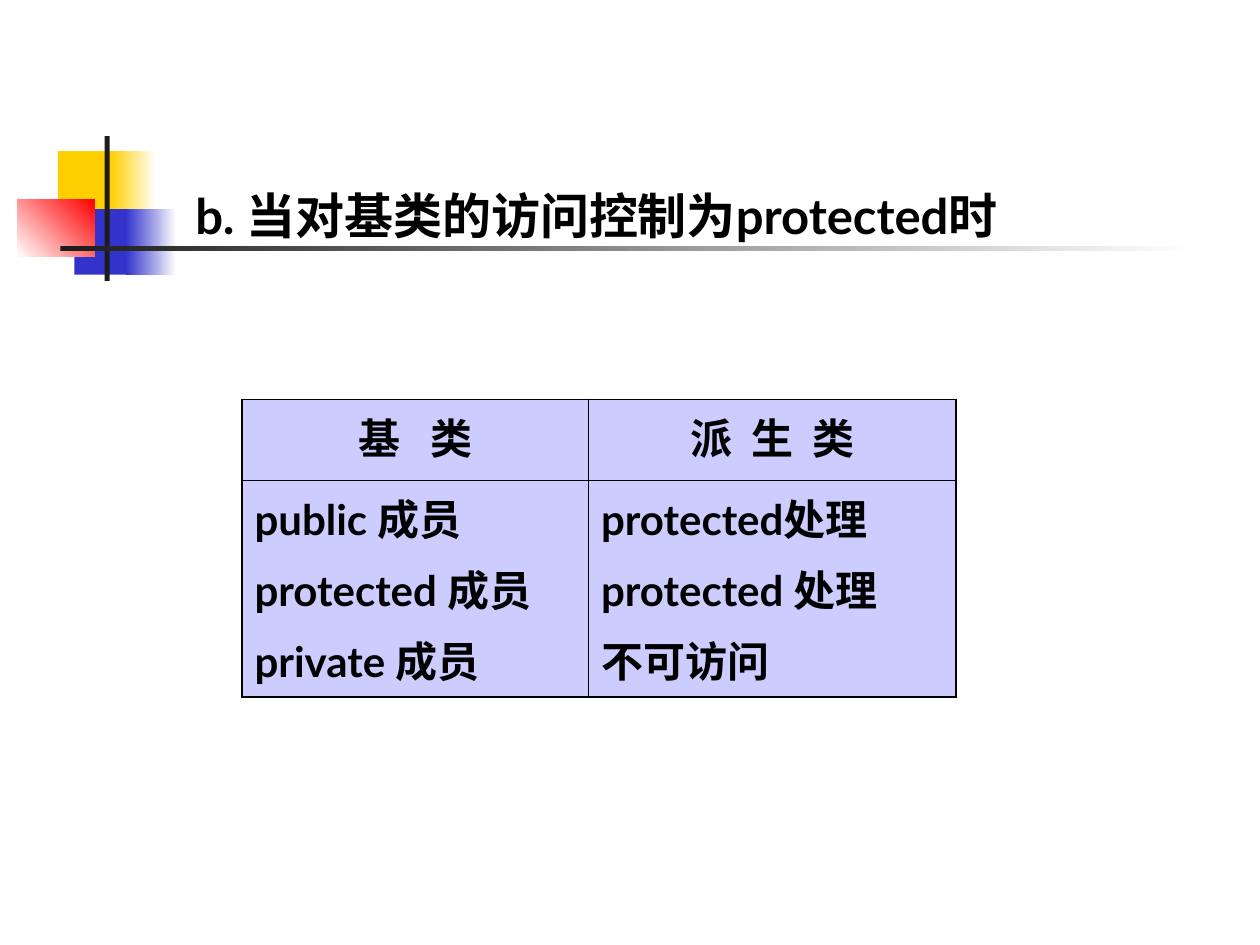
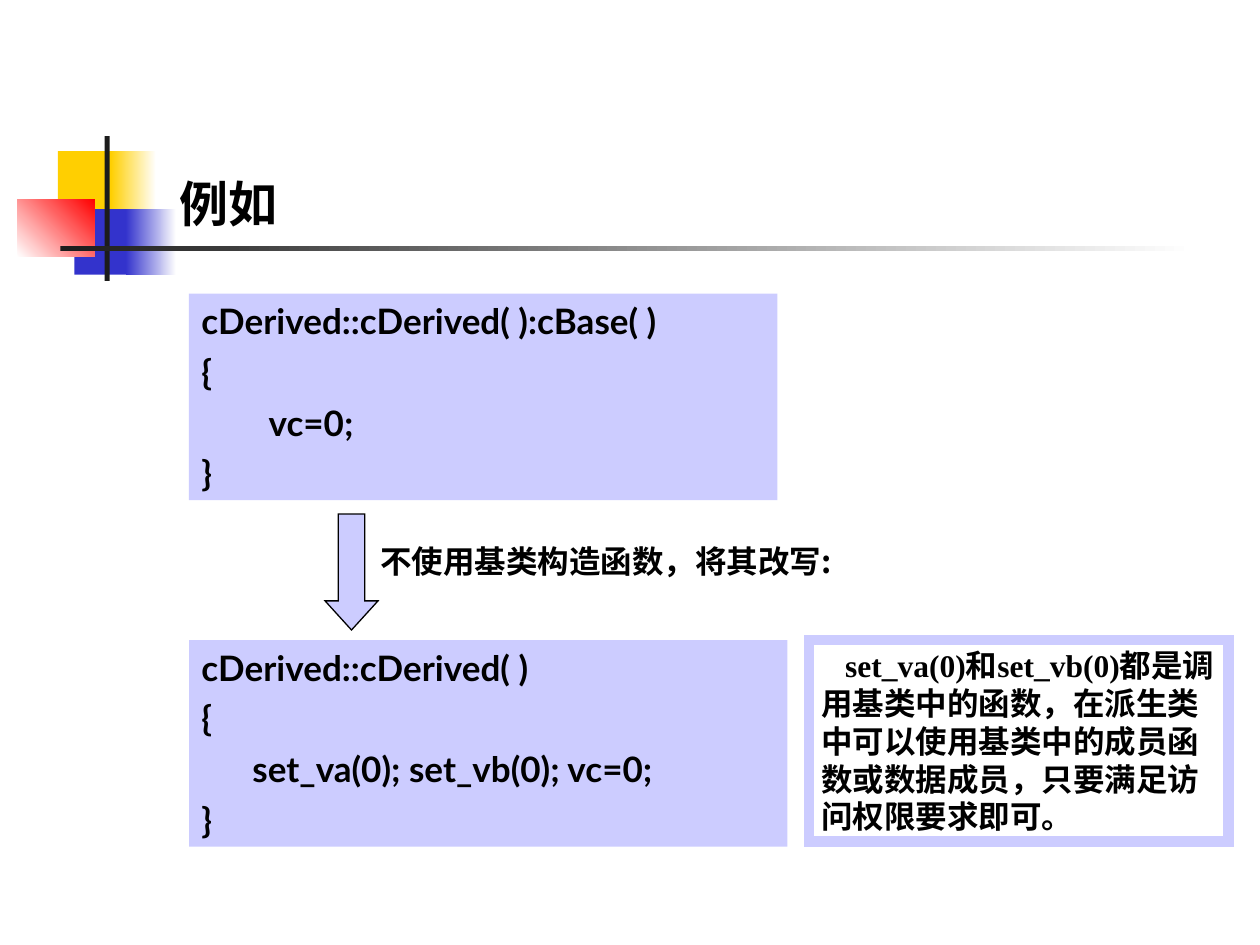
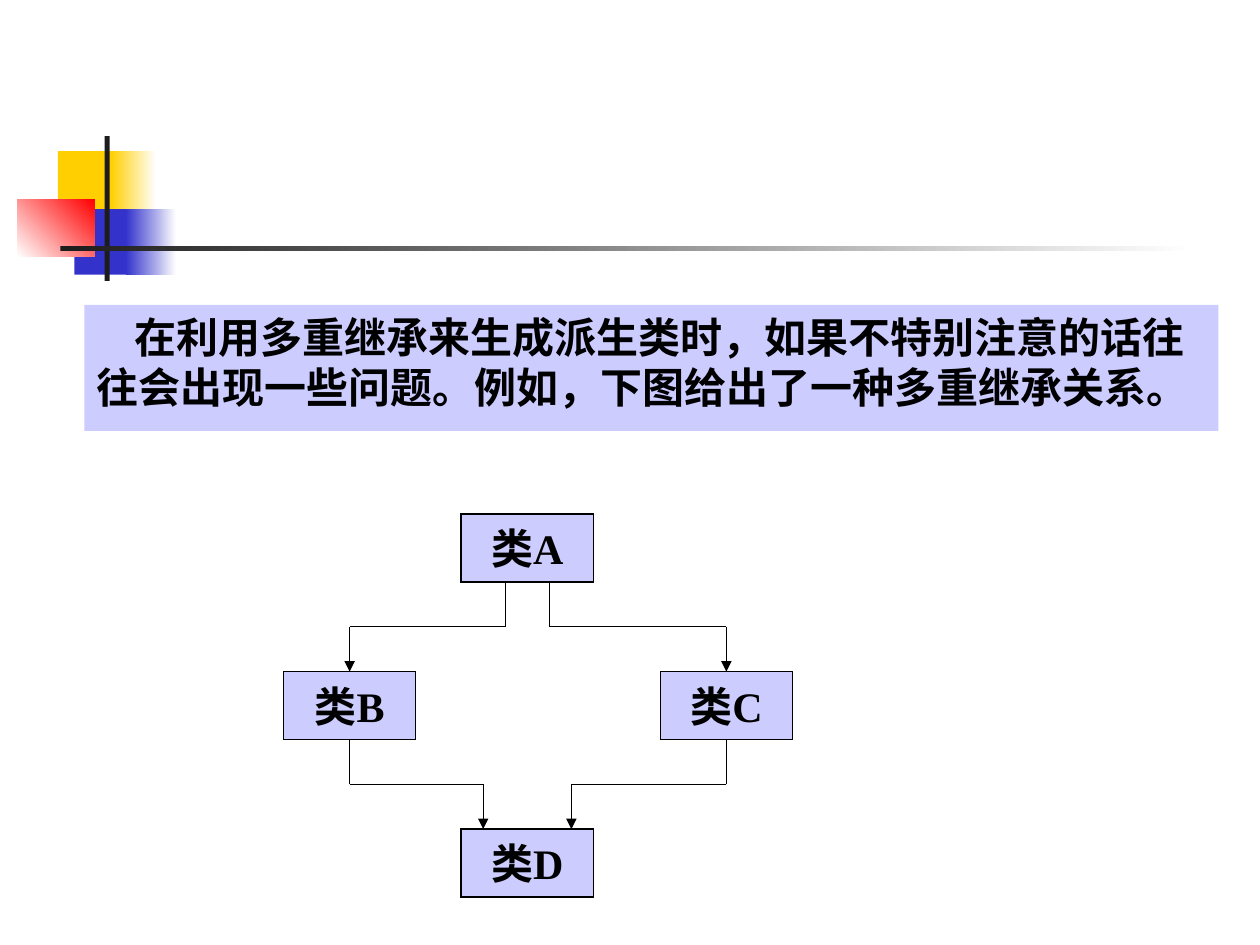
from itertools import groupby

from lxml.etree import SubElement
from pptx import Presentation
from pptx.dml.color import RGBColor
from pptx.enum.shapes import MSO_CONNECTOR, MSO_SHAPE
from pptx.enum.text import MSO_ANCHOR, PP_ALIGN
from pptx.oxml.ns import qn
from pptx.util import Inches, Pt

COLORS = {
    "ink": "000000",
    "panel": "CCCCFF",
    "yellow": "FFCF01",
    "blue": "3333CC",
    "red": "FF0000",
    "rule": "1C1C1C",
    "paper": "FFFFFF",
}
LATO, NOTO, TIMES = "Lato", "Noto Sans CJK SC", "Times New Roman"

EMBLEM = [
    ((0.46, 1.2, 0.48, 0.52), ["yellow"], 0),
    ((0.88, 1.2, 0.36, 0.52), ["yellow", "paper"], 0),
    ((0.59, 1.66, 0.46, 0.52), ["blue"], 0),
    ((1, 1.66, 0.4, 0.52), ["blue", "paper"], 0),
    ((0.14, 1.58, 0.61, 0.46), ["paper", "red"], 45),
    ((0.83, 1.08, 0.04, 1.15), ["rule"], 0),
    ((0.48, 1.95, 9, 0.04), ["rule", "paper"], 0),
]

ACCESS_TITLE = "b. 当对基类的访问控制为protected时"
ACCESS_HEADS = [("基 类", 5.8), ("派 生 类", 2.8)]
ACCESS_RULES = [
    ["public 成员", "protected 成员", "private 成员"],
    ["protected处理", "protected 处理", "不可访问"],
]
ACCESS_COLUMNS = [2.75, 2.92]
ACCESS_ROWS = [0.64, 1.72]

EXAMPLE_TITLE = "例如"
CODE_WITH_BASE = ["cDerived::cDerived( ):cBase( )", "{", "        vc=0;", "}"]
CODE_REWRITTEN = ["cDerived::cDerived( )", "{", "      set_va(0); set_vb(0); vc=0;", "}"]
REWRITE_NOTE = "不使用基类构造函数，将其改写:"
ACCESS_NOTE = (
    "set_va(0)和set_vb(0)都是调用基类中的函数，在派生类中可以使用"
    "基类中的成员函数或数据成员，只要满足访问权限要求即可。"
)

INHERITANCE_INTRO = (
    "在利用多重继承来生成派生类时，如果不特别注意的话往往会出现一些问题。"
    "例如，下图给出了一种多重继承关系。"
)
CLASSES = {"A": (3.66, 0), "B": (2.25, 1), "C": (5.24, 1), "D": (3.66, 2)}
CLASS_WIDTH, CLASS_HEIGHT = 1.05, 0.54
CLASS_TOP, CLASS_STEP = 4.08, 1.25
INHERITANCE = [("A", -1 / 6, "B", 0), ("A", 1 / 6, "C", 0),
               ("B", 0, "D", -1 / 3), ("C", 0, "D", 1 / 3)]


def rgb(name):
    return RGBColor.from_string(COLORS[name])


def is_chinese(letter):
    return ord(letter) > 0x2E7F


def write(frame, lines, size, latin=LATO, align=PP_ALIGN.LEFT, gap=0,
          indent=0, tracking=0):
    for index, line in enumerate(lines):
        paragraph = frame.paragraphs[0] if index == 0 else frame.add_paragraph()
        paragraph.alignment = align
        paragraph.space_before = Pt(gap if index else 0)
        if indent:
            paragraph._p.get_or_add_pPr().set("indent", str(Inches(indent)))
        for chinese, letters in groupby(line, is_chinese):
            run = paragraph.add_run()
            run.text = "".join(letters)
            run.font.size = Pt(size)
            run.font.bold = True
            run.font.color.rgb = rgb("ink")
            run.font.name = NOTO if chinese else latin
            properties = run._r.get_or_add_rPr()
            SubElement(properties, qn("a:ea")).set("typeface", NOTO)
            if tracking:
                properties.set("spc", str(round(tracking * 100)))


def panel(slide, area, fill="panel", line=None, width=0.75, kind=MSO_SHAPE.RECTANGLE):
    shape = slide.shapes.add_shape(kind, *map(Inches, area))
    shape.shadow.inherit = False
    if fill:
        shape.fill.solid()
        shape.fill.fore_color.rgb = rgb(fill)
    else:
        shape.fill.background()
    if line:
        shape.line.color.rgb = rgb(line)
        shape.line.width = Pt(width)
        corner = SubElement(shape._element.spPr.find(qn("a:ln")), qn("a:miter"))
        corner.set("lim", "800000")
    else:
        shape.line.fill.background()
    return shape


def text_in(shape, lines, size, left=0.1, anchor=MSO_ANCHOR.TOP, **style):
    frame = shape.text_frame
    frame.word_wrap = True
    frame.vertical_anchor = anchor
    frame.margin_left = Inches(left)
    write(frame, lines, size, **style)


def label(slide, area, text, size, **style):
    text_in(slide.shapes.add_textbox(*map(Inches, area)), [text], size, **style)


def line(slide, start, end, arrow=False):
    connector = slide.shapes.add_connector(
        MSO_CONNECTOR.STRAIGHT, *map(Inches, start + end))
    connector.line.color.rgb = rgb("ink")
    connector.line.width = Pt(0.75)
    properties = connector._element.spPr
    if arrow:
        SubElement(properties.find(qn("a:ln")), qn("a:tailEnd")).set("type", "triangle")
    SubElement(properties, qn("a:effectLst"))


def new_slide(deck):
    slide = deck.slides.add_slide(deck.slide_layouts[6])
    for area, tones, angle in EMBLEM:
        block = panel(slide, area, tones[0])
        if len(tones) > 1:
            block.fill.gradient()
            block.fill.gradient_angle = angle
            for stop, tone, position in zip(block.fill.gradient_stops, tones, (0, 1)):
                stop.color.rgb = rgb(tone)
                stop.position = position
    return slide


def border(cell, row, column):
    outer = {"L": column == 0, "R": column == 1, "T": row == 0, "B": row == 1}
    for side, is_outer in outer.items():
        edge = SubElement(cell._tc.get_or_add_tcPr(), qn("a:ln" + side))
        edge.set("w", str(Pt(1.08 if is_outer else 0.45)))
        ink = SubElement(SubElement(edge, qn("a:solidFill")), qn("a:srgbClr"))
        ink.set("val", COLORS["ink"])


def access_slide(deck):
    slide = new_slide(deck)
    label(slide, (1.17, 1.42, 8.17, 0.58), ACCESS_TITLE, 28, left=0.38)
    table = slide.shapes.add_table(
        2, 2, Inches(1.92), Inches(3.17),
        Inches(sum(ACCESS_COLUMNS)), Inches(sum(ACCESS_ROWS))).table
    for row, height in enumerate(ACCESS_ROWS):
        table.rows[row].height = Inches(height)
    for column, width in enumerate(ACCESS_COLUMNS):
        table.columns[column].width = Inches(width)
        for row in range(2):
            cell = table.cell(row, column)
            border(cell, row, column)
            cell.fill.solid()
            cell.fill.fore_color.rgb = rgb("panel")
        head, tracking = ACCESS_HEADS[column]
        write(table.cell(0, column).text_frame, [head], 24, NOTO,
              PP_ALIGN.CENTER, tracking=tracking)
        write(table.cell(1, column).text_frame, ACCESS_RULES[column], 24, gap=6)


def example_slide(deck):
    slide = new_slide(deck)
    label(slide, (1.33, 1.33, 1.42, 0.67), EXAMPLE_TITLE, 28, latin=TIMES)
    arrow = panel(slide, (2.58, 4.08, 0.42, 0.92), line="ink", kind=MSO_SHAPE.DOWN_ARROW)
    arrow.adjustments[1] = 0.55
    for code, top, width in ((CODE_REWRITTEN, 5.08, 4.75), (CODE_WITH_BASE, 2.33, 4.67)):
        text_in(panel(slide, (1.5, top, width, 1.64)), code, 20, gap=5)
    label(slide, (2.92, 4.25, 3.8, 0.4), REWRITE_NOTE, 18, latin=NOTO)
    note = panel(slide, (6.42, 5.08, 3.33, 1.6), None, "panel", 6)
    text_in(note, [ACCESS_NOTE], 18, latin=TIMES, indent=0.19)


def inheritance_slide(deck):
    slide = new_slide(deck)
    text_in(panel(slide, (0.67, 2.42, 9, 1)), [INHERITANCE_INTRO], 24, indent=0.3)
    for name, (left, level) in CLASSES.items():
        top = CLASS_TOP + level * CLASS_STEP
        node = panel(slide, (left, top, CLASS_WIDTH, CLASS_HEIGHT), line="ink")
        text_in(node, ["类" + name], 24, latin=TIMES,
                align=PP_ALIGN.CENTER, anchor=MSO_ANCHOR.MIDDLE)
    for base, base_shift, derived, derived_shift in INHERITANCE:
        base_left, level = CLASSES[base]
        start_x = base_left + CLASS_WIDTH * (0.5 + base_shift)
        end_x = CLASSES[derived][0] + CLASS_WIDTH * (0.5 + derived_shift)
        start_y = CLASS_TOP + level * CLASS_STEP + CLASS_HEIGHT
        end_y = CLASS_TOP + (level + 1) * CLASS_STEP
        middle = (start_y + end_y) / 2
        line(slide, (start_x, start_y), (start_x, middle))
        line(slide, (start_x, middle), (end_x, middle))
        line(slide, (end_x, middle), (end_x, end_y), arrow=True)


def main():
    deck = Presentation()
    deck.slide_width, deck.slide_height = Inches(10), Inches(7.5)
    access_slide(deck)
    example_slide(deck)
    inheritance_slide(deck)
    deck.save("out.pptx")


if __name__ == "__main__":
    main()
